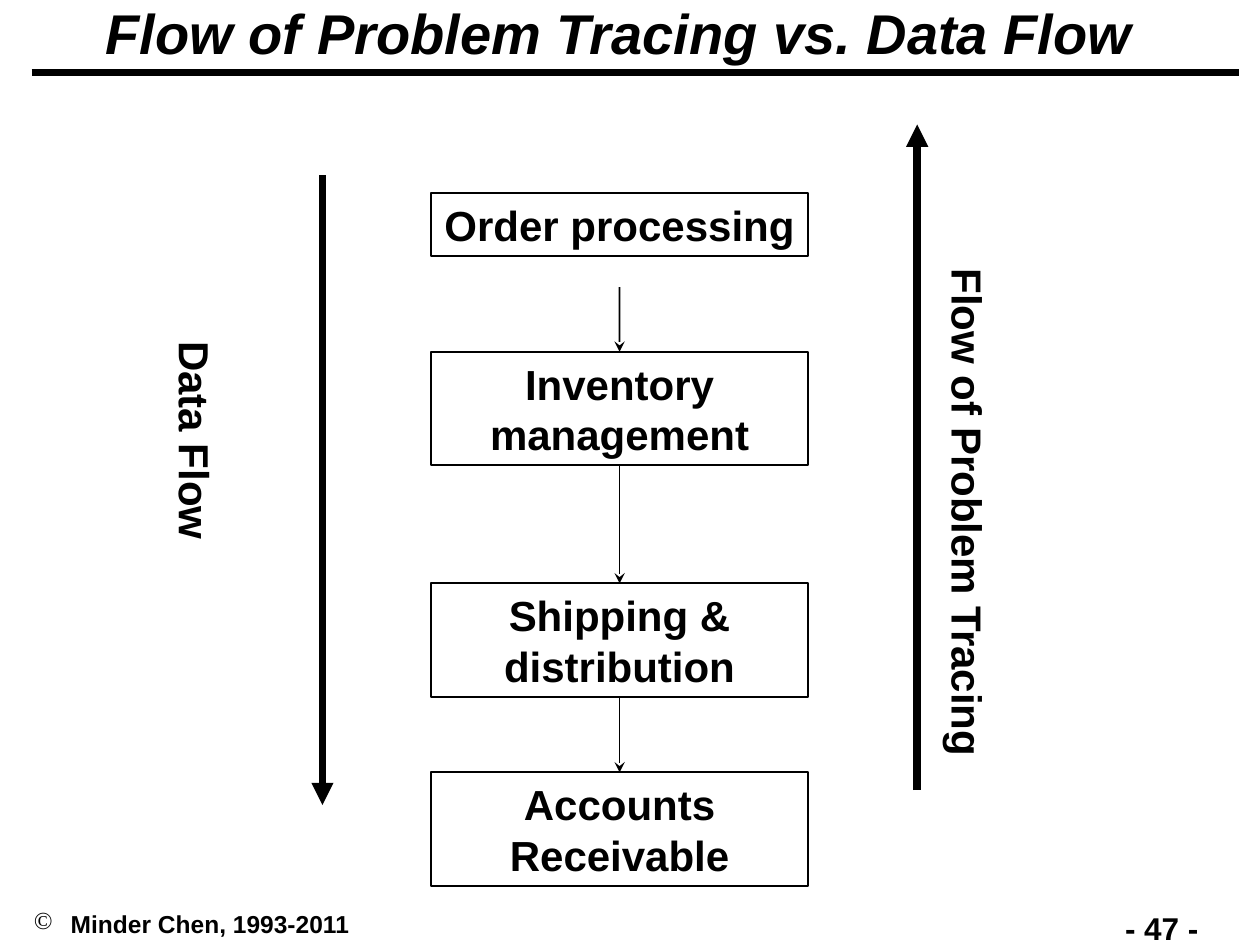
from dataclasses import dataclass

from lxml.etree import SubElement
from pptx import Presentation
from pptx.dml.color import RGBColor
from pptx.enum.shapes import MSO_CONNECTOR, MSO_SHAPE
from pptx.enum.text import MSO_ANCHOR, PP_ALIGN
from pptx.oxml.ns import qn
from pptx.util import Cm, Pt


@dataclass(frozen=True)
class Theme:
    font: str = "Arial"
    ink: RGBColor = RGBColor(0, 0, 0)
    paper: RGBColor = RGBColor(255, 255, 255)
    title: int = 32
    body: int = 24
    page: int = 18
    footer: int = 14
    thin: float = 1
    rule: float = 4
    thick: float = 4.25


THEME = Theme()
BOTTOM, TOP = 2, 0  # connection sites of a rectangle

# Process steps: text, top and height in cm
STEP_LEFT, STEP_WIDTH = 8.69, 7.6
STEPS = [
    ("Order processing", 3.89, 1.27),
    ("Inventory management", 7.09, 2.29),
    ("Shipping & distribution", 11.76, 2.29),
    ("Accounts Receivable", 15.57, 2.29),
]
FIRST_ARROW_START = 5.79


def write(s, text, size, align=PP_ALIGN.LEFT, anchor=MSO_ANCHOR.TOP,
          wrap=True, italic=None):
    tf = s.text_frame
    tf.word_wrap = wrap
    tf.vertical_anchor = anchor
    p = tf.paragraphs[0]
    p.alignment = align
    r = p.add_run()
    r.text = text
    r.font.name = THEME.font
    r.font.size = Pt(size)
    r.font.bold = True
    r.font.italic = italic
    r.font.color.rgb = THEME.ink
    return p


def add_text(slide, left, top, width, height, text, size, **style):
    s = slide.shapes.add_textbox(Cm(left), Cm(top), Cm(width), Cm(height))
    return write(s, text, size, **style)


def add_vertical_label(slide, center_x, center_y, length, text):
    height = 1.27
    s = slide.shapes.add_textbox(Cm(center_x - length / 2), Cm(center_y - height / 2),
                                 Cm(length), Cm(height))
    s.rotation = 90
    write(s, text, THEME.body, wrap=False)


def add_step(slide, text, top, height):
    s = slide.shapes.add_shape(MSO_SHAPE.RECTANGLE, Cm(STEP_LEFT), Cm(top),
                               Cm(STEP_WIDTH), Cm(height))
    s.shadow.inherit = False
    s.fill.solid()
    s.fill.fore_color.rgb = THEME.paper
    s.line.color.rgb = THEME.ink
    s.line.width = Pt(THEME.thin)
    write(s, text, THEME.body, PP_ALIGN.CENTER, MSO_ANCHOR.MIDDLE)
    return s


def add_line(slide, x1, y1, x2, y2, width, head=None):
    s = slide.shapes.add_connector(MSO_CONNECTOR.STRAIGHT,
                                   Cm(x1), Cm(y1), Cm(x2), Cm(y2))
    s.line.color.rgb = THEME.ink
    s.line.width = Pt(width)
    if head:
        SubElement(s.line._get_or_add_ln(), qn("a:tailEnd"), type=head)
    SubElement(s._element.spPr, qn("a:effectLst"))
    return s


def add_bullet(p, char, indent):
    pPr = p._p.get_or_add_pPr()
    pPr.set("marL", str(Cm(indent)))
    pPr.set("indent", str(-Cm(indent)))
    SubElement(pPr, qn("a:buChar"), char=char)


def main():
    prs = Presentation()
    prs.slide_width, prs.slide_height = Cm(25.4), Cm(19.05)
    slide = prs.slides.add_slide(prs.slide_layouts[6])

    # Title and rule
    p = add_text(slide, 0, 0, 24.97, 1.47, "Flow of Problem Tracing vs. Data Flow",
                 THEME.title, align=PP_ALIGN.CENTER, anchor=MSO_ANCHOR.MIDDLE,
                 italic=True)
    p.line_spacing = 0.9
    add_line(slide, 0.64, 1.47, 24.97, 1.47, THEME.rule)

    # Process steps, joined by arrows
    boxes = [add_step(slide, *step) for step in STEPS]
    x = STEP_LEFT + STEP_WIDTH / 2
    for i, (upper, lower) in enumerate(zip(boxes, boxes[1:])):
        s = add_line(slide, x, FIRST_ARROW_START, x, STEPS[i + 1][1],
                     THEME.thin, "stealth")
        if i > 0:
            s.begin_connect(upper, BOTTOM)
        s.end_connect(lower, TOP)

    # Opposite directions of data flow and problem tracing
    add_line(slide, 6.5, 3.53, 6.5, 16.23, THEME.thick, "triangle")
    add_vertical_label(slide, 3.94, 8.89, 4.52, "Data Flow")
    add_line(slide, 18.49, 15.93, 18.49, 2.51, THEME.thick, "triangle")
    add_vertical_label(slide, 19.52, 10.36, 10.39, "Flow of Problem Tracing")

    # Footer
    p = add_text(slide, 0.43, 18.21, 8.64, 0.84, " Minder Chen, 1993-2011",
                 THEME.footer)
    add_bullet(p, "©", 0.61)
    add_text(slide, 22.43, 18.21, 2.95, 0.84, "- 47 -", THEME.page)

    prs.save("out.pptx")


if __name__ == "__main__":
    main()
